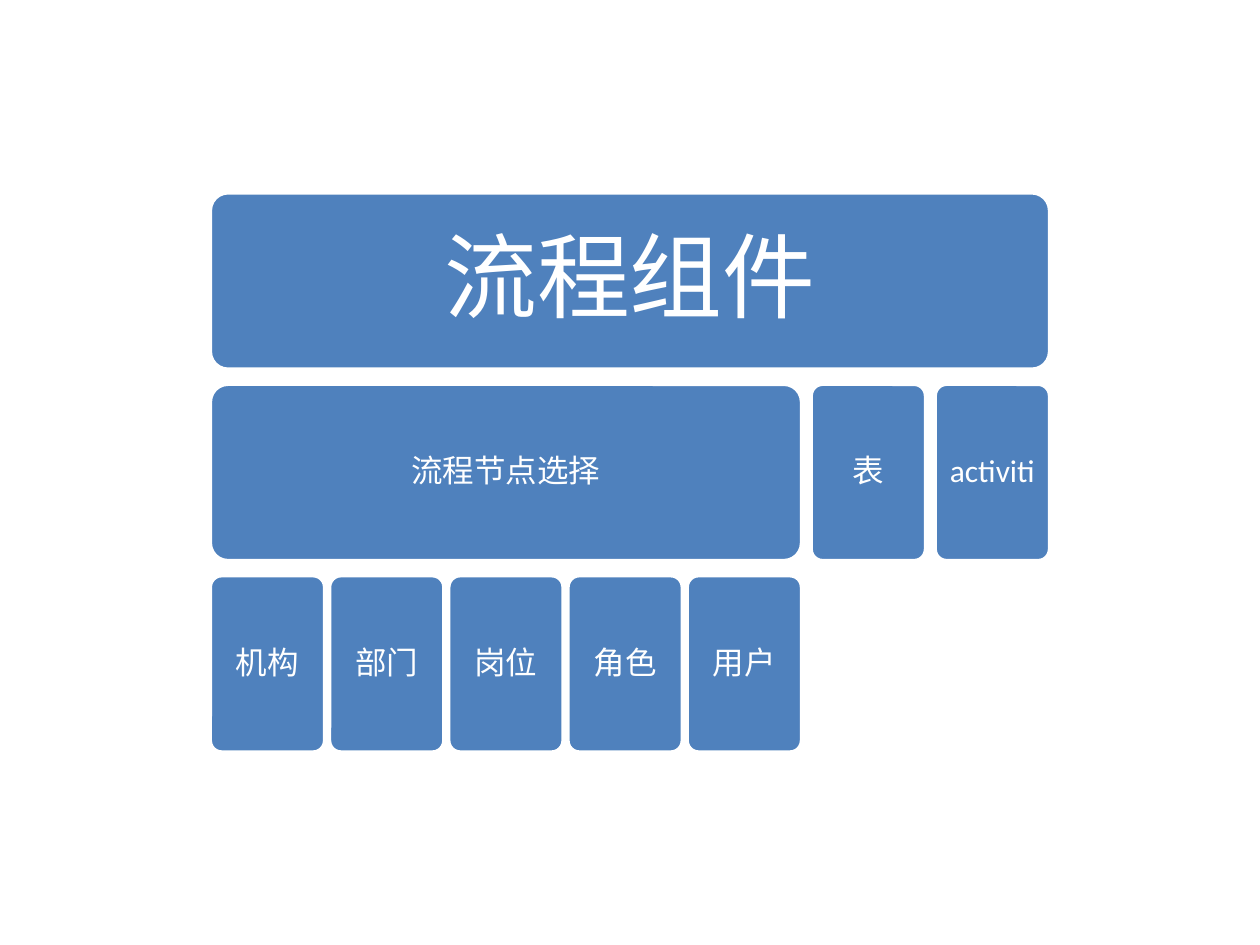
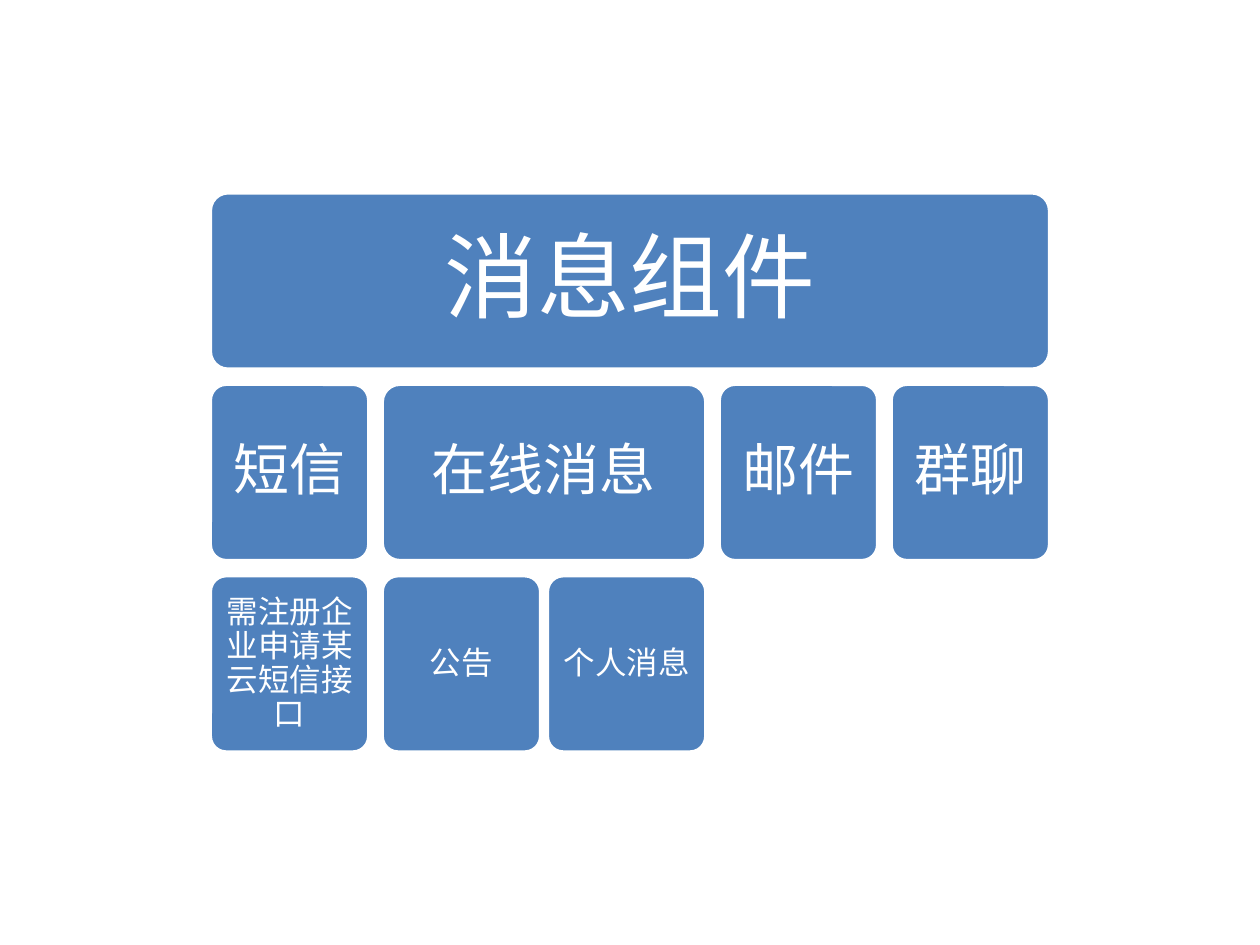
from pptx import Presentation
from pptx.dml.color import RGBColor
from pptx.enum.shapes import MSO_SHAPE
from pptx.enum.text import MSO_ANCHOR, PP_ALIGN
from pptx.util import Pt

# Shared look, lengths in points
BLUE, WHITE = "4F81BD", "FFFFFF"
FONT = "Calibri"
LEFT, TOP, WIDTH = 120.2, 110.2, 479.6
ROW_HEIGHT, ROW_STEP = 100.8, 109.4
GAP_RATIO = 0.042  # gap between leaves, as a share of a leaf's width
TITLE_SIZE, LEAF_SIZE = 53, 18
INSETS = {53: 15.8, 32: 9.4, 18: 5}

# Title, size of the second row, and each branch with its leaves
hierarchies = [
    ("流程组件", 18, [
        ("流程节点选择", ["机构", "部门", "岗位", "角色", "用户"]),
        ("表", []),
        ("activiti", []),
    ]),
    ("消息组件", 32, [
        ("短信", ["需注册企业申请某云短信接口"]),
        ("在线消息", ["公告", "个人消息"]),
        ("邮件", []),
        ("群聊", []),
    ]),
]


def color(hex_string):
    return RGBColor.from_string(hex_string)


def add_block(slide, text, left, row, width, size):
    shape = slide.shapes.add_shape(
        MSO_SHAPE.ROUNDED_RECTANGLE, Pt(left), Pt(TOP + row * ROW_STEP), Pt(width), Pt(ROW_HEIGHT))
    shape.adjustments[0] = 0.1
    shape.shadow.inherit = False
    shape.fill.solid()
    shape.fill.fore_color.rgb = color(BLUE)
    shape.line.color.rgb = color(WHITE)
    shape.line.width = Pt(2)

    text_frame = shape.text_frame
    text_frame.text = text
    text_frame.word_wrap = True
    text_frame.vertical_anchor = MSO_ANCHOR.MIDDLE
    text_frame.margin_left = text_frame.margin_right = Pt(INSETS[size])
    text_frame.margin_top = text_frame.margin_bottom = Pt(INSETS[size])
    paragraph = text_frame.paragraphs[0]
    paragraph.alignment = PP_ALIGN.CENTER
    paragraph.line_spacing = 0.9
    paragraph.space_after = Pt(0.35 * size)
    font = paragraph.runs[0].font
    font.name = FONT
    font.size = Pt(size)
    font.color.rgb = color(WHITE)


presentation = Presentation()
presentation.slide_width, presentation.slide_height = Pt(720), Pt(540)
blank_layout = presentation.slide_layouts[6]

for title, branch_size, branches in hierarchies:
    slide = presentation.slides.add_slide(blank_layout)
    add_block(slide, title, LEFT, 0, WIDTH, TITLE_SIZE)

    # Leaves share one width; branches stand twice the leaf gap apart
    columns = [max(1, len(leaves)) for _, leaves in branches]
    gap_count = sum(count - 1 for count in columns) + 2 * (len(branches) - 1)
    leaf_width = WIDTH / (sum(columns) + GAP_RATIO * gap_count)
    gap = GAP_RATIO * leaf_width

    # Each branch spans the leaves below it
    left = LEFT
    for (branch, leaves), count in zip(branches, columns):
        branch_width = count * leaf_width + (count - 1) * gap
        add_block(slide, branch, left, 1, branch_width, branch_size)
        for index, leaf in enumerate(leaves):
            add_block(slide, leaf, left + index * (leaf_width + gap), 2, leaf_width, LEAF_SIZE)
        left += branch_width + 2 * gap

presentation.save("out.pptx")
